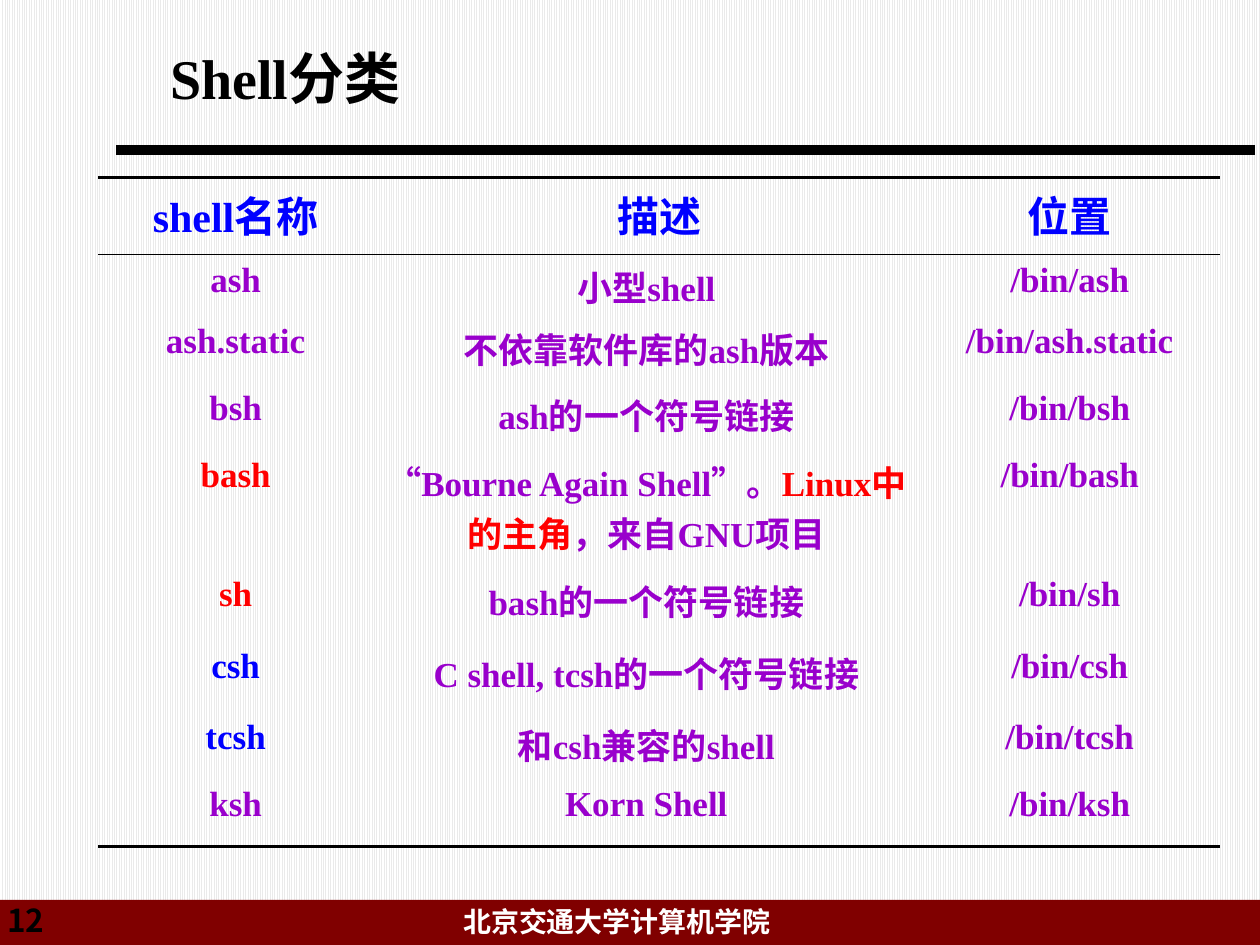
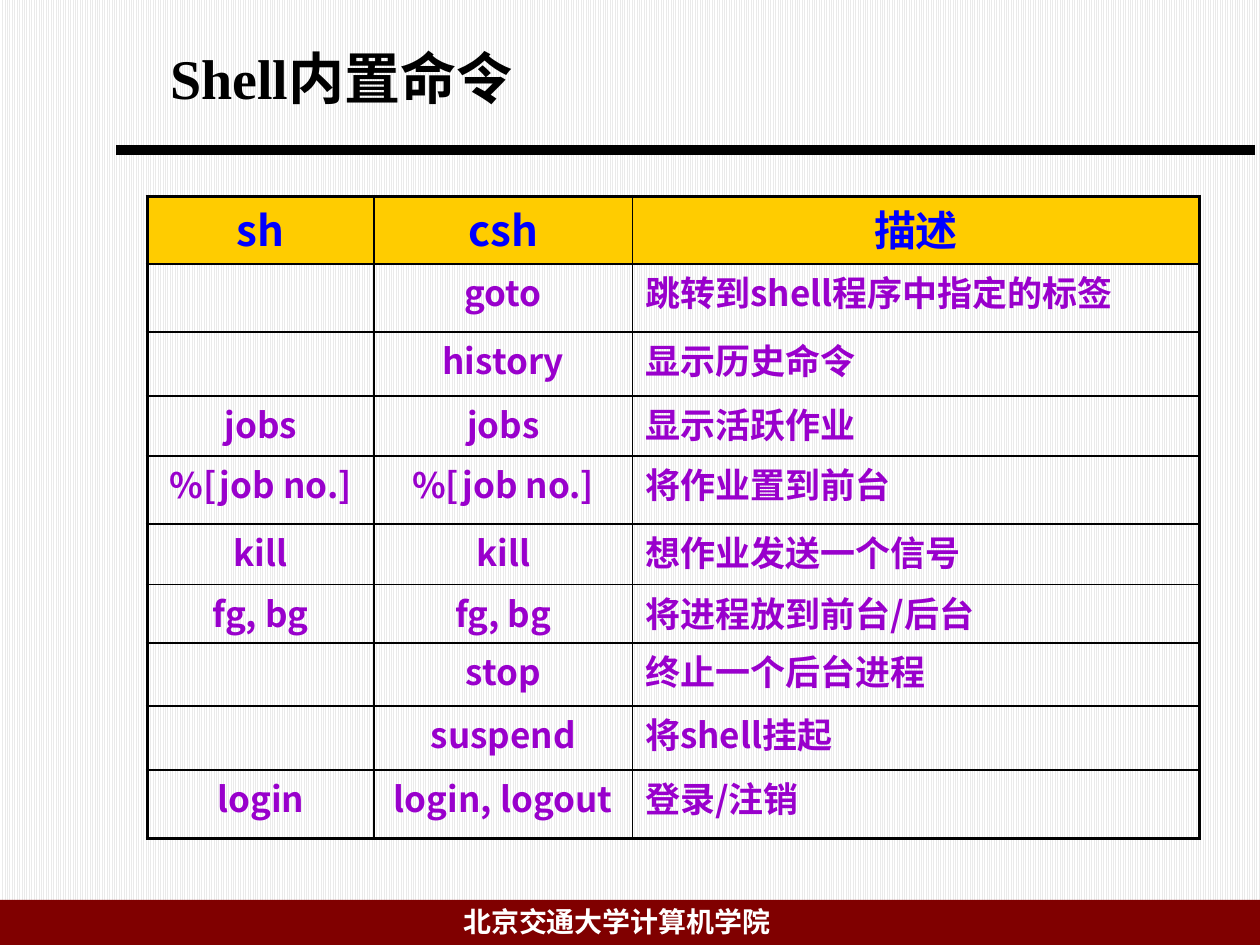
from dataclasses import dataclass

from lxml import etree
from pptx import Presentation
from pptx import util as u
from pptx.dml.color import RGBColor
from pptx.enum import dml, shapes, text
from pptx.oxml import ns


@dataclass(frozen=True)
class Theme:
    black: str = "000000"
    white: str = "FFFFFF"
    stripe: str = "EAEAEA"
    band: str = "800000"
    heading: str = "0000FF"
    body: str = "9900CC"
    accent: str = "FF0000"
    header_fill: str = "FFCC00"
    serif: str = "Times New Roman"
    sans: str = "Noto Sans CJK SC"
    title_size: int = 32
    header_size: int = 24
    body_size: int = 20
    number_size: int = 18
    footer_size: int = 16
    thick: float = 2.25
    thin: float = 1
    rule: float = 6


THEME = Theme()
CENTER = text.PP_ALIGN.CENTER
LEFT = text.PP_ALIGN.LEFT

SHELL_ROWS = [
    ("shell名称", "描述", "位置"),
    ("ash", "小型shell", "/bin/ash"),
    ("ash.static", "不依靠软件库的ash版本", "/bin/ash.static"),
    ("bsh", "ash的一个符号链接", "/bin/bsh"),
    ([("bash", THEME.accent)],
     [("“Bourne Again Shell”。", THEME.body), ("Linux中的主角", THEME.accent),
      ("，来自GNU项目", THEME.body)],
     "/bin/bash"),
    ([("sh", THEME.accent)], "bash的一个符号链接", "/bin/sh"),
    ([("csh", THEME.heading)], "C shell, tcsh的一个符号链接", "/bin/csh"),
    ([("tcsh", THEME.heading)], "和csh兼容的shell", "/bin/tcsh"),
    ("ksh", "Korn Shell", "/bin/ksh"),
]

COMMAND_ROWS = [
    ("sh", "csh", "描述"),
    ("", "goto", "跳转到shell程序中指定的标签"),
    ("", "history", "显示历史命令"),
    ("jobs", "jobs", "显示活跃作业"),
    ("%[job no.]", "%[job no.]", "将作业置到前台"),
    ("kill", "kill", "想作业发送一个信号"),
    ("fg, bg", "fg, bg", "将进程放到前台/后台"),
    ("", "stop", "终止一个后台进程"),
    ("", "suspend", "将shell挂起"),
    ("login", "login, logout", "登录/注销"),
]


def set_format(target, values):
    for name, value in values.items():
        setattr(target, name, value)


def add_span(para, words, color, size, font, bold=True):
    span = para.add_run()
    span.text = words
    set_format(span.font, {"size": u.Pt(size), "name": font, "bold": bold})
    span.font.color.rgb = RGBColor.from_string(color)
    east_asian = etree.SubElement(span.font._element, ns.qn("a:ea"))
    east_asian.set("typeface", THEME.sans)


def add_label(page, box, words, color, size, font):
    """Place one line of text in box, given as left, top, width, height in cm."""
    label = page.shapes.add_textbox(*map(u.Cm, box))
    label.text_frame.word_wrap = True
    add_span(label.text_frame.paragraphs[0], words, color, size, font)


def add_title(page, box, words):
    left, top, width, height = box
    add_label(page, box, words, THEME.black, THEME.title_size, THEME.serif)
    rule_left, rule_top = left - 0.84, top + 2.26
    rule = page.shapes.add_connector(
        shapes.MSO_CONNECTOR.STRAIGHT, u.Cm(rule_left), u.Cm(rule_top),
        u.Cm(rule_left + 22.96), u.Cm(rule_top))
    rule.line.width = u.Pt(THEME.rule)
    rule.line.color.rgb = RGBColor.from_string(THEME.black)
    etree.SubElement(rule._element.spPr, ns.qn("a:effectLst"))


def add_footer(page, box, number):
    left, top, width, height = box
    band = page.shapes.add_shape(shapes.MSO_SHAPE.RECTANGLE, *map(u.Cm, box))
    band.shadow.inherit = False
    band.fill.solid()
    band.fill.fore_color.rgb = RGBColor.from_string(THEME.band)
    band.line.fill.background()
    add_label(page, (left + 9.09, top - 0.03, 8.43, 0.94), "北京交通大学计算机学院",
              THEME.white, THEME.footer_size, THEME.serif)
    if number:
        add_label(page, (left - 0.1, top - 0.1, 1.63, 0.94), number,
                  THEME.black, THEME.number_size, THEME.sans)


def set_borders(cell, widths):
    """Draw the sides L, R, T and B; a side of width 0 stays empty."""
    properties = cell._tc.get_or_add_tcPr()
    for side in "LRTB":
        line = etree.SubElement(properties, ns.qn(f"a:ln{side}"))
        if widths[side]:
            line.set("w", str(u.Pt(widths[side])))
            fill = etree.SubElement(line, ns.qn("a:solidFill"))
            etree.SubElement(fill, ns.qn("a:srgbClr")).set("val", THEME.black)
        else:
            etree.SubElement(line, ns.qn("a:noFill"))


def ruled_borders(row, column, last_row, last_column):
    return {
        "L": 0, "R": 0,
        "T": {0: THEME.thick, 1: THEME.thin}.get(row, 0),
        "B": {0: THEME.thin, last_row: THEME.thick}.get(row, 0),
    }


def grid_borders(row, column, last_row, last_column):
    edges = {"L": column == 0, "R": column == last_column,
             "T": row == 0, "B": row == last_row}
    return {side: THEME.thick if outer else THEME.thin
            for side, outer in edges.items()}


def add_grid(page, corner, widths, heights, rows, borders, font,
             aligns, header_fill=None, spacing=None):
    """Build a table at corner, with sizes in cm, and return it."""
    frame = page.shapes.add_table(
        len(heights), len(widths), *map(u.Cm, (*corner, sum(widths), sum(heights))))
    table = frame.table
    set_format(table, {"first_row": False, "horz_banding": False})
    for column, width in zip(table.columns, widths):
        column.width = u.Cm(width)
    for line, height in zip(table.rows, heights):
        line.height = u.Cm(height)
    for row, entries in enumerate(rows):
        header = row == 0
        color = THEME.heading if header else THEME.body
        size = THEME.header_size if header else THEME.body_size
        for column, entry in enumerate(entries):
            cell = table.cell(row, column)
            set_borders(cell, borders(row, column, len(rows) - 1, len(widths) - 1))
            if header and header_fill:
                cell.fill.solid()
                cell.fill.fore_color.rgb = RGBColor.from_string(header_fill)
            else:
                cell.fill.background()
            para = cell.text_frame.paragraphs[0]
            set_format(para, {"alignment": CENTER if header else aligns[column],
                              "line_spacing": spacing})
            spans = [(entry, color)] if isinstance(entry, str) else entry
            for words, span_color in spans:
                if words:
                    add_span(para, words, span_color, size, font)
    return table


def add_page(deck, title, number=None):
    page = deck.slides.add_slide(deck.slide_layouts[6])
    add_footer(page, (0, 18.14, 25.4, 0.91), number)
    add_title(page, (3.18, 0.76, 20.96, 3.18), title)
    return page


def add_shell_types(deck):
    page = add_page(deck, "Shell分类", "12")
    table = add_grid(
        page, (1.98, 3.58), (5.54, 11.02, 6.05),
        (1.55, 1.24, 1.35, 1.35, 2.39, 1.45, 1.45, 1.35, 1.35),
        SHELL_ROWS, ruled_borders, THEME.serif, (CENTER,) * 3)
    table.cell(0, 1).margin_left = u.Cm(0.8)


def add_builtin_commands(deck):
    page = add_page(deck, "Shell内置命令")
    add_grid(
        page, (2.97, 3.96), (4.57, 5.21, 11.43),
        (1.36, 1.37, 1.29, 1.21, 1.37, 1.22, 1.18, 1.27, 1.29, 1.38),
        COMMAND_ROWS, grid_borders, THEME.sans, (CENTER, CENTER, LEFT),
        header_fill=THEME.header_fill, spacing=0.9)


def set_background(deck):
    fill = deck.slide_master.background.fill
    fill.patterned()
    fill.pattern = dml.MSO_PATTERN.LIGHT_VERTICAL
    fill.fore_color.rgb = RGBColor.from_string(THEME.stripe)
    fill.back_color.rgb = RGBColor.from_string(THEME.white)


def main():
    deck = Presentation()
    set_format(deck, {"slide_width": u.Cm(25.4), "slide_height": u.Cm(19.05)})
    set_background(deck)
    add_shell_types(deck)
    add_builtin_commands(deck)
    deck.save("out.pptx")


if __name__ == "__main__":
    main()
